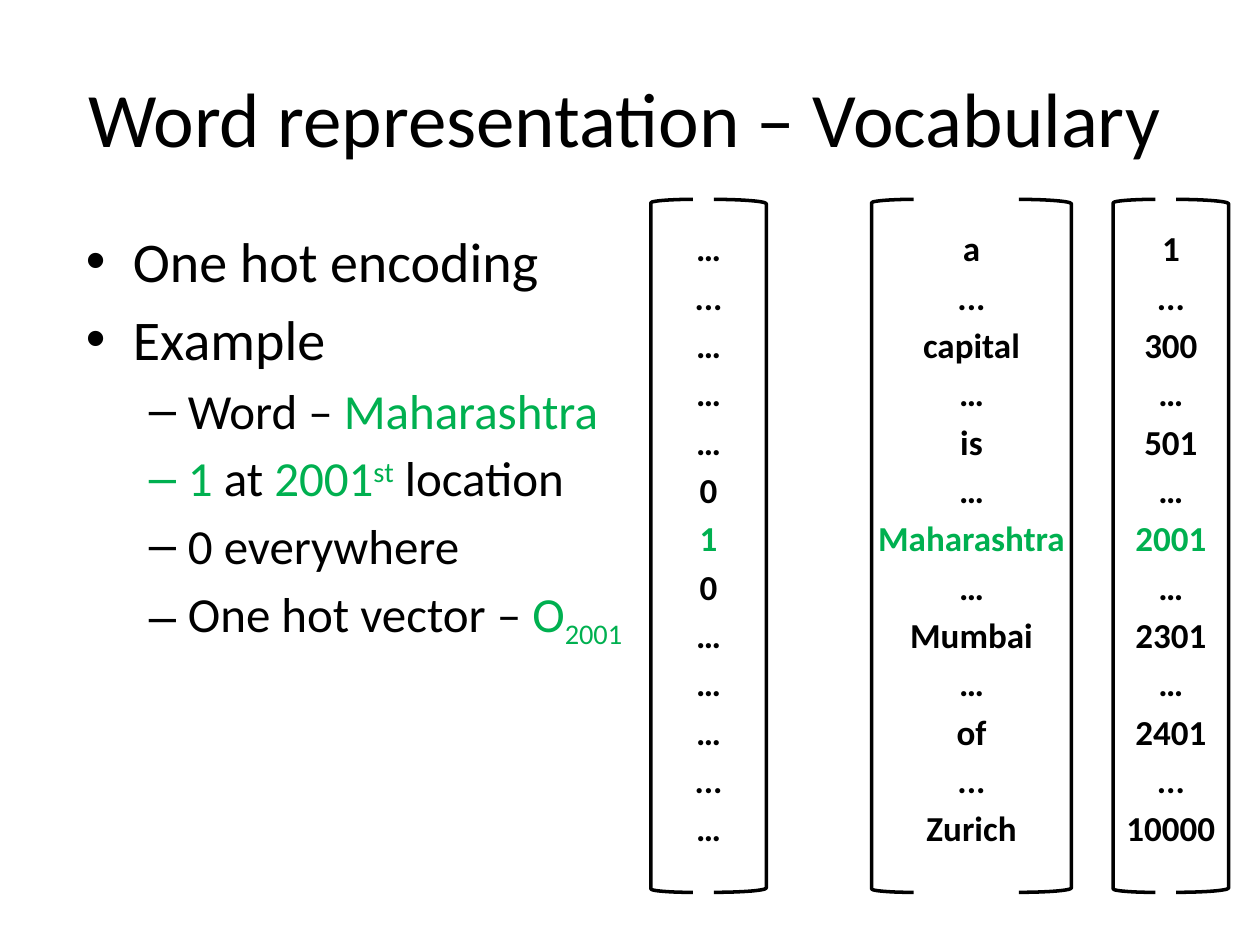
from lxml.etree import SubElement
from pptx import Presentation
from pptx.dml.color import RGBColor
from pptx.enum.shapes import MSO_SHAPE as Preset
from pptx.enum.text import MSO_ANCHOR as Anchor, PP_ALIGN as Align
from pptx.oxml.ns import qn
from pptx.util import Cm, Pt

COLORS = {"text": "000000", "accent": "00B050"}
FONT = "Calibri"
TITLE = "Word representation – Vocabulary"
BULLETS = {
    0: {"size": 32, "mark": "•", "margin": 0.95, "hang": 0.95},
    1: {"size": 28, "mark": "–", "margin": 2.06, "hang": 0.79},
}
OUTLINE = [
    (0, [("One hot encoding", "text", 0)]),
    (0, [("Example", "text", 0)]),
    (1, [("Word – ", "text", 0), ("Maharashtra", "accent", 0)]),
    (1, [("1", "accent", 0), (" at ", "text", 0), ("2001", "accent", 0),
         ("st", "accent", 30), (" location", "text", 0)]),
    (1, [("0 everywhere", "text", 0)]),
    (1, [("One hot vector – ", "text", 0), ("O", "accent", 0), ("2001", "accent", -25)]),
]
HOT_ROW = 6
VECTORS = [
    {"left": 17.36, "width": 4.45, "rows": [
        "a", "...", "capital", "…", "is", "…", "Maharashtra",
        "…", "Mumbai", "…", "of", "...", "Zurich"]},
    {"left": 22.23, "width": 2.75, "rows": [
        "1", "...", "300", "…", "501", "…", "2001",
        "…", "2301", "…", "2401", "...", "10000"]},
    {"left": 12.91, "width": 2.75, "rows": [
        "…", "...", "…", "…", "…", "0", "1",
        "0", "…", "…", "…", "...", "…"]},
]
TEXT_TOP, VECTOR_HEIGHT = 4.45, 13.34
BRACKET_TOP, BRACKET_HEIGHT, BRACKET_INSET = 4.02, 13.97, 0.21
BRACKETS = [(Preset.LEFT_BRACKET, 0.85), (Preset.RIGHT_BRACKET, 1.06)]
SPACING = 0.18


def add_span(para, text, size, color="text", bold=False, baseline=0):
    """Append formatted text to a paragraph."""
    span = para.add_run()
    span.text = text
    span.font.name = FONT
    span.font.size = Pt(size)
    span.font.bold = bold
    span.font.color.rgb = RGBColor.from_string(COLORS[color])
    if baseline:
        span.font._element.set("baseline", str(baseline * 1000))


def add_paras(page, bounds, count, align):
    """Add a wrapping text box and return its aligned paragraphs."""
    frame = page.shapes.add_textbox(*map(Cm, bounds)).text_frame
    frame.word_wrap = True
    paras = [frame.paragraphs[0]] + [frame.add_paragraph() for _ in range(count - 1)]
    for para in paras:
        para.alignment = align
    return paras


def set_bullet(para, level):
    """Give a paragraph the bullet and hanging indent of its level."""
    style = BULLETS[level]
    para.level = level
    props = para._p.get_or_add_pPr()
    props.set("marL", str(Cm(style["margin"])))
    props.set("indent", str(-Cm(style["hang"])))
    SubElement(props, qn("a:buFont"), typeface="Arial")
    SubElement(props, qn("a:buChar"), char=style["mark"])


def add_outline(page):
    """Add the bulleted explanation."""
    paras = add_paras(page, (1.48, TEXT_TOP, 22.23, 12.57), len(OUTLINE), Align.JUSTIFY)
    for para, (level, spans) in zip(paras, OUTLINE):
        size = BULLETS[level]["size"]
        para.space_before = Pt(size * SPACING)
        set_bullet(para, level)
        for text, color, baseline in spans:
            add_span(para, text, size, color=color, baseline=baseline)


def add_vector(page, left, width, rows, size=20):
    """Add a column of entries between two brackets."""
    paras = add_paras(page, (left, TEXT_TOP, width, VECTOR_HEIGHT), len(rows), Align.CENTER)
    for index, (para, text) in enumerate(zip(paras, rows)):
        para.space_before = Pt(size * SPACING)
        add_span(para, text, size, color="accent" if index == HOT_ROW else "text", bold=True)
    for preset, breadth in BRACKETS:
        start = left + BRACKET_INSET
        if preset == Preset.RIGHT_BRACKET:
            start = left + width - BRACKET_INSET - breadth
        bracket = page.shapes.add_shape(
            preset, Cm(start), Cm(BRACKET_TOP), Cm(breadth), Cm(BRACKET_HEIGHT))
        bracket.shadow.inherit = False
        bracket.fill.background()
        bracket.line.color.rgb = RGBColor.from_string(COLORS["text"])
        bracket.line.width = Pt(2)


def main():
    """Build and save the slide."""
    deck = Presentation()
    deck.slide_width, deck.slide_height = Cm(25.4), Cm(19.05)
    page = deck.slides.add_slide(deck.slide_layouts[5])
    title = page.shapes.title
    title.left, title.top, title.width, title.height = map(Cm, (1.06, 0.76, 23.07, 3.18))
    title.text_frame.vertical_anchor = Anchor.MIDDLE
    heading = title.text_frame.paragraphs[0]
    heading.alignment = Align.CENTER
    add_span(heading, TITLE, 44)
    add_outline(page)
    for vector in VECTORS:
        add_vector(page, **vector)
    deck.save("out.pptx")


if __name__ == "__main__":
    main()
